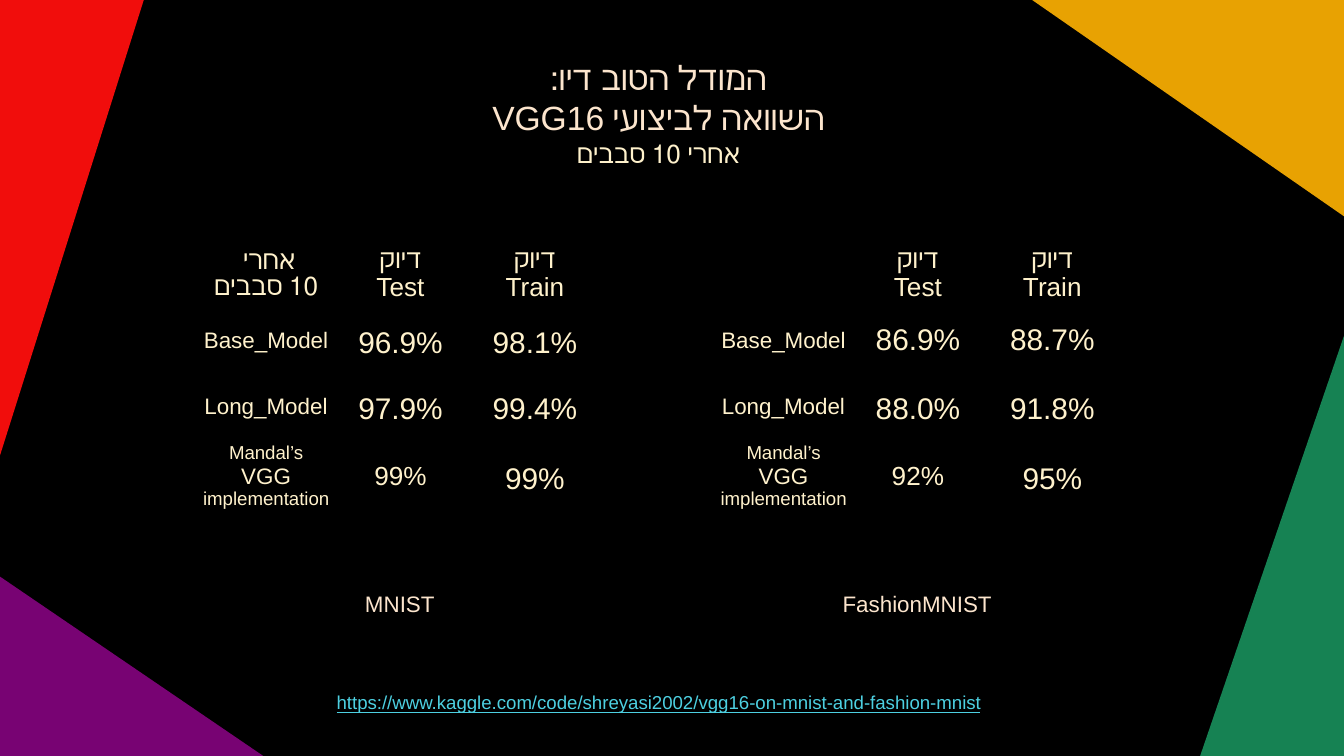
from lxml import etree
from pptx import Presentation
from pptx.dml.color import RGBColor
from pptx.enum.text import MSO_ANCHOR, PP_ALIGN
from pptx.oxml.ns import qn
from pptx.util import Inches, Pt

CENTER, MIDDLE, TOP = PP_ALIGN.CENTER, MSO_ANCHOR.MIDDLE, MSO_ANCHOR.TOP
NO_TABLE_STYLE = "{2D5ABB26-0587-4C30-8999-92F81FD0307C}"
WIDTH = 10
HEIGHT = WIDTH * 9 / 16

THEME = {
    "font": "Arial",
    "background": "000000",
    "heading": "FCE5CD",
    "body": "FFF2CC",
    "link": "4DD0E1",
}
# Several sizes in one style apply to the successive lines of a paragraph.
STYLES = {
    "title": {"sizes": [18], "color": "heading"},
    "subtitle": {"sizes": [14], "color": "body"},
    "caption": {"sizes": [12], "color": "heading"},
    "link": {"sizes": [10], "color": "link", "underline": True},
    "header": {"sizes": [14], "color": "body"},
    "model": {"sizes": [12], "color": "body"},
    "reference": {"sizes": [10, 12, 10], "color": "body"},
    "score": {"sizes": [16], "color": "body", "after": 12, "spacing": 1.15},
    "tight score": {"sizes": [16], "color": "body", "after": 12},
    "reference score": {"sizes": [14], "color": "body"},
}

# Content: "\v" is a line break inside a paragraph
TITLE = [
    ("המודל הטוב דיו:", "title"),
    ("השוואה לביצועי VGG16", "title"),
    ("אחרי 10 סבבים", "subtitle"),
]
SOURCE_LINK = "https://www.kaggle.com/code/shreyasi2002/vgg16-on-mnist-and-fashion-mnist"
MODELS = [
    ("Base_Model", "model"),
    ("Long_Model", "model"),
    ("Mandal’s\vVGG\vimplementation", "reference"),
]
DATASETS = [
    {
        "name": "FashionMNIST", "table left": 5.33, "caption left": 4.97,
        "corner": "",
        "test": ["86.9%", "88.0%", "92%"],
        "train": ["88.7%", "91.8%", "95%"],
        "first score": "tight score",
    },
    {
        "name": "MNIST", "table left": 1.48, "caption left": 1.12,
        "corner": "אחרי \v10 סבבים",
        "test": ["96.9%", "97.9%", "99%"],
        "train": ["98.1%", "99.4%", "99%"],
        "first score": "score",
    },
]
CORNERS = [
    ("F10D0C", [(0, 0), (0, 3.39), (1.07, 0)]),
    ("E8A202", [(WIDTH, 0), (7.68, 0), (WIDTH, 1.61)]),
    ("168253", [(WIDTH, HEIGHT), (WIDTH, 2.5), (8.93, HEIGHT)]),
    ("780373", [(0, 4.29), (0, HEIGHT), (1.96, HEIGHT)]),
]
TABLE_TOP, COLUMN_WIDTH = 1.8, 1
ROW_HEIGHTS = [0.49, 0.49, 0.49, 0.55]


def is_hebrew(text):
    return any("א" <= letter <= "ת" for letter in text)


def write(frame, paragraphs):
    """Fill a text frame with (text, style name) paragraphs."""
    frame.text = "\n" * (len(paragraphs) - 1)
    for paragraph, (text, style_name) in zip(frame.paragraphs, paragraphs):
        style = STYLES[style_name]
        paragraph.text = text
        paragraph.alignment = CENTER
        if is_hebrew(text):
            paragraph._p.get_or_add_pPr().set("rtl", "1")
        if "after" in style:
            paragraph.space_after = Pt(style["after"])
        if "spacing" in style:
            paragraph.line_spacing = style["spacing"]
        sizes = style["sizes"]
        for index, run in enumerate(paragraph.runs):
            font = run.font
            font.name = THEME["font"]
            font.size = Pt(sizes[index % len(sizes)])
            font.bold = False
            font.underline = style.get("underline", False)
            font.color.rgb = RGBColor.from_string(THEME[style["color"]])
        # Line breaks must not be taller than their lines
        for line_break in paragraph._p.findall(qn("a:br")):
            etree.SubElement(line_break, qn("a:rPr"), sz=str(sizes[0] * 100))


def add_text(slide, left, top, width, height, paragraphs):
    box = slide.shapes.add_textbox(*map(Inches, (left, top, width, height)))
    frame = box.text_frame
    frame.word_wrap = True
    frame.vertical_anchor = TOP
    frame.margin_left = frame.margin_right = Inches(0.1)
    frame.margin_top = frame.margin_bottom = Inches(0.1)
    write(frame, paragraphs)


def add_corner(slide, color, points):
    start, *others = [(Inches(x), Inches(y)) for x, y in points]
    builder = slide.shapes.build_freeform(*start)
    builder.add_line_segments(others, close=True)
    corner = builder.convert_to_shape()
    corner.shadow.inherit = False
    corner.fill.solid()
    corner.fill.fore_color.rgb = RGBColor.from_string(color)
    corner.line.fill.background()


def accuracy_rows(dataset):
    """Rows of cells; each cell is a list of paragraphs."""
    rows = [[[(dataset["corner"], "header")]]
            + [[("דיוק", "header"), (part, "header")] for part in ("Test", "Train")]]
    test_styles = [dataset["first score"], "score", "reference score"]
    train_styles = [dataset["first score"], "score", "score"]
    tests = zip(dataset["test"], test_styles)
    trains = zip(dataset["train"], train_styles)
    rows += [[[model], [test], [train]]
             for model, test, train in zip(MODELS, tests, trains)]
    return rows


def add_accuracy_table(slide, dataset):
    rows = accuracy_rows(dataset)
    columns = len(rows[0])
    table = slide.shapes.add_table(
        len(rows), columns, Inches(dataset["table left"]), Inches(TABLE_TOP),
        Inches(COLUMN_WIDTH * columns), Inches(sum(ROW_HEIGHTS))).table
    table._tbl.tblPr.find(qn("a:tableStyleId")).text = NO_TABLE_STYLE
    table.first_row = table.horz_banding = False
    for column in table.columns:
        column.width = Inches(COLUMN_WIDTH)
    for row, height in zip(table.rows, ROW_HEIGHTS):
        row.height = Inches(height)
    for r, row in enumerate(rows):
        for c, paragraphs in enumerate(row):
            cell = table.cell(r, c)
            cell.fill.background()
            cell.vertical_anchor = MIDDLE
            cell.margin_top = cell.margin_bottom = 0
            cell.margin_left = cell.margin_right = 0
            write(cell.text_frame, paragraphs)


def main():
    deck = Presentation()
    deck.slide_width, deck.slide_height = Inches(WIDTH), Inches(HEIGHT)
    slide = deck.slides.add_slide(deck.slide_layouts[6])
    slide.background.fill.solid()
    slide.background.fill.fore_color.rgb = RGBColor.from_string(THEME["background"])

    # Coloured corners
    for color, points in CORNERS:
        add_corner(slide, color, points)

    # Title, captions and source link
    add_text(slide, 1.12, 0.32, 7.56, 0.87, TITLE)
    for dataset in DATASETS:
        add_text(slide, dataset["caption left"], 4.29, 3.71, 0.29,
                 [(dataset["name"], "caption")])
    add_text(slide, 1.12, 5.06, 7.56, 0.29, [(SOURCE_LINK, "link")])

    # Accuracy tables
    for dataset in DATASETS:
        add_accuracy_table(slide, dataset)

    deck.save("out.pptx")


if __name__ == "__main__":
    main()
